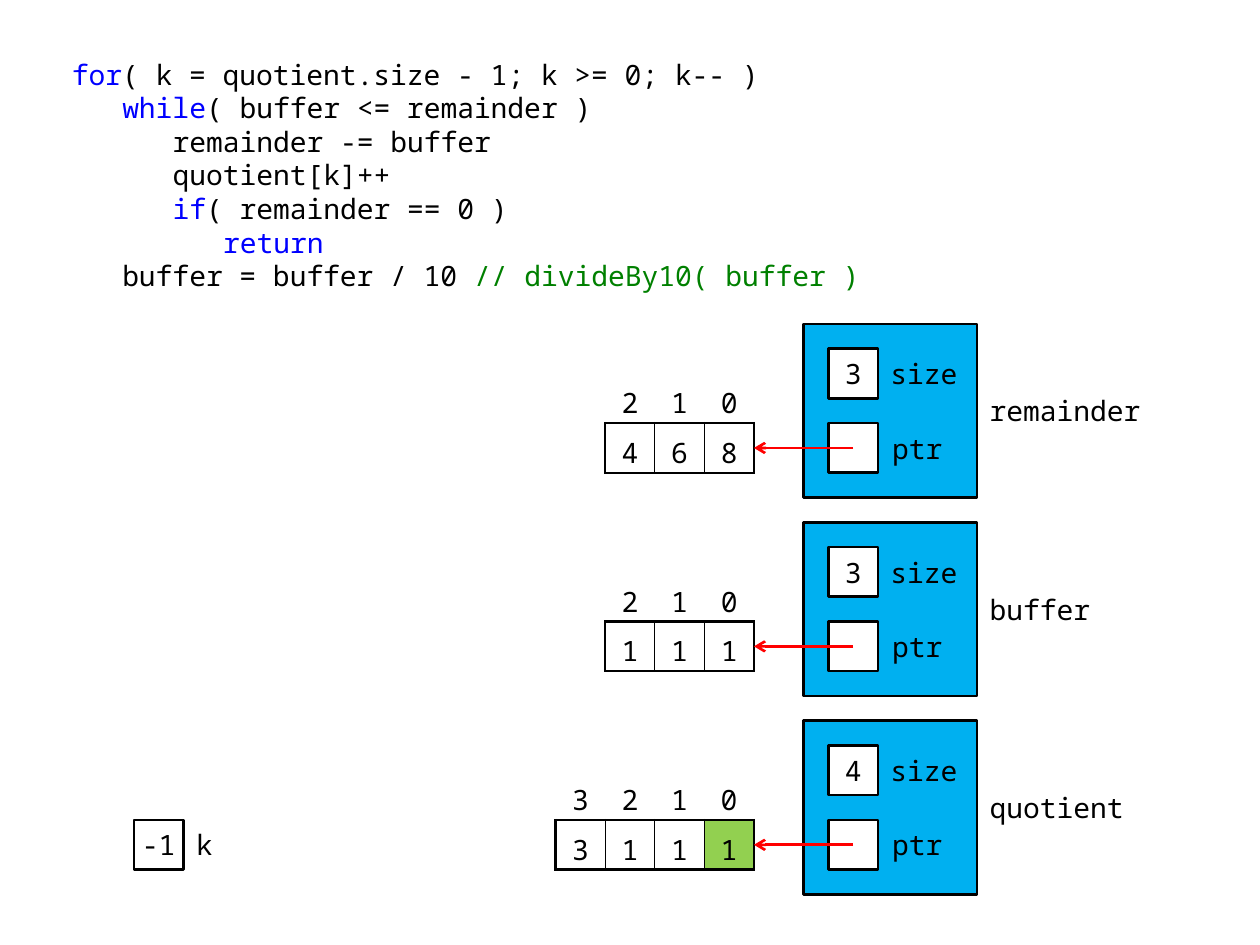
from lxml.etree import SubElement
from pptx import Presentation
from pptx.dml.color import RGBColor
from pptx.enum.shapes import MSO_CONNECTOR, MSO_SHAPE
from pptx.enum.text import MSO_ANCHOR, PP_ALIGN
from pptx.oxml.ns import qn
from pptx.util import Inches, Pt

BLACK = RGBColor(0x00, 0x00, 0x00)
WHITE = RGBColor(0xFF, 0xFF, 0xFF)
BLUE = RGBColor(0x00, 0x00, 0xFF)
GREEN = RGBColor(0x00, 0x80, 0x00)
RED = RGBColor(0xFF, 0x00, 0x00)
SKY = RGBColor(0x00, 0xB0, 0xF0)
LIME = RGBColor(0x92, 0xD0, 0x50)
NO_GRID = "{2D5ABB26-0587-4C30-8999-92F81FD0307C}"
CELL = 1 / 2.54  # grid unit in inches


def grid(*values):
    """Turn grid units into lengths."""
    return [Inches(v * CELL) for v in values]


class MemoryDiagram:
    font, size, line_width = "Noto Sans Mono", Pt(16), Pt(1.5)
    thin = Pt(0.75)

    def __init__(self, slide):
        self.slide = slide

    def style_run(self, r, color=BLACK):
        r.font.name, r.font.size = self.font, self.size
        r.font.color.rgb = color

    def set_text(self, tf, text, align, insets):
        tf.word_wrap = True
        tf.vertical_anchor = MSO_ANCHOR.MIDDLE
        (tf.margin_left, tf.margin_top,
         tf.margin_right, tf.margin_bottom) = [Inches(v) for v in insets]
        p = tf.paragraphs[0]
        p.text, p.alignment = text, align
        for r in p.runs:
            self.style_run(r)

    def box(self, x, y, side=1, fill=WHITE, text=""):
        sp = self.slide.shapes.add_shape(
            MSO_SHAPE.RECTANGLE, *grid(x, y, side, side))
        sp.shadow.inherit = False
        sp.fill.solid()
        sp.fill.fore_color.rgb = fill
        sp.line.color.rgb, sp.line.width = BLACK, self.line_width
        if text:
            self.set_text(sp.text_frame, text, PP_ALIGN.CENTER,
                          (0.04, 0.05, 0.04, 0.05))

    def label(self, x, y, w, h, text, align=PP_ALIGN.LEFT, right=0.04):
        tb = self.slide.shapes.add_textbox(*grid(x, y, w, h))
        self.set_text(tb.text_frame, text, align, (0.1, 0, right, 0))

    def code(self, x, y, w, h, lines):
        """Each line is an indent level followed by (text, color) pairs."""
        tf = self.slide.shapes.add_textbox(*grid(x, y, w, h)).text_frame
        tf.word_wrap = True
        for i, (level, *parts) in enumerate(lines):
            p = tf.add_paragraph() if i else tf.paragraphs[0]
            p.line_spacing = Pt(19.2)
            p._p.get_or_add_pPr().set("marL", str(Inches(0.4 * level)))
            for text, color in parts:
                r = p.add_run()
                r.text = text
                self.style_run(r, color)

    def arrow(self, x1, x2, y):
        ln = self.slide.shapes.add_connector(
            MSO_CONNECTOR.STRAIGHT, *grid(x1, y, x2, y))
        ln.line.color.rgb, ln.line.width = RED, self.line_width
        props = ln._element.spPr
        SubElement(props.find(qn("a:ln")), qn("a:tailEnd"), type="arrow")
        SubElement(props, qn("a:effectLst"))

    def border(self, cell, side, width):
        ln = SubElement(cell._tc.get_or_add_tcPr(), qn(f"a:ln{side}"),
                        w=str(width))
        fill = SubElement(ln, qn("a:solidFill"))
        SubElement(fill, qn("a:srgbClr"), val=str(BLACK))

    def array(self, right, y, digits, marked):
        """Indexes count down to 0 above the digits of the number."""
        n = len(digits)
        table = self.slide.shapes.add_table(
            2, n, *grid(right - n, y, n, 2)).table
        table.first_row = table.horz_banding = False
        table._tbl.tblPr.find(qn("a:tableStyleId")).text = NO_GRID
        for i, digit in enumerate(digits):
            index, value = table.cell(0, i), table.cell(1, i)
            self.border(index, "B", self.line_width)
            self.border(value, "L", self.thin if i else self.line_width)
            self.border(value, "R", self.thin if i < n - 1 else self.line_width)
            for side in "TB":
                self.border(value, side, self.line_width)
            for cell, text in ((index, str(n - 1 - i)), (value, digit)):
                cell.margin_left = cell.margin_right = 0
                cell.margin_top = cell.margin_bottom = 0
                cell.vertical_anchor = MSO_ANCHOR.MIDDLE
                p = cell.text_frame.paragraphs[0]
                p.text, p.alignment = text, PP_ALIGN.CENTER
                p.line_spacing = 1.25
                self.style_run(p.runs[0])
                cell.fill.background()
            if i == marked:
                value.fill.solid()
                value.fill.fore_color.rgb = LIME

    def number(self, x, y, name, name_width, digits, marked=None):
        """A struct with size and ptr, its name and its digit array."""
        self.array(x - 1, y + 1, digits, marked)
        self.box(x, y, 3.5, SKY)
        self.box(x + 0.5, y + 0.5, text=str(len(digits)))
        self.box(x + 0.5, y + 2)
        self.label(x + 3.5, y + 1, name_width, 1.5, name)
        self.label(x + 1.5, y + 0.5, 2, 1, "size")
        self.label(x + 1.5, y + 2, 1.5, 1, "ptr", PP_ALIGN.RIGHT, 0.08)
        self.arrow(x + 1, x - 1, y + 2.5)


def main():
    prs = Presentation()
    prs.slide_width, prs.slide_height = Inches(10), Inches(7.5)
    s = prs.slides.add_slide(prs.slide_layouts[6])
    diagram = MemoryDiagram(s)

    # Algorithm
    diagram.code(1.2, 1.03, 17, 5, [
        (0, ("for", BLUE), ("( k = quotient.size - 1; k >= 0; k-- )", BLACK)),
        (1, ("while", BLUE), ("( buffer <= remainder )", BLACK)),
        (2, ("remainder -= buffer", BLACK)),
        (2, ("quotient[k]++", BLACK)),
        (2, ("if", BLUE), ("( remainder == 0 )", BLACK)),
        (3, ("return", BLUE)),
        (1, ("buffer = buffer / 10", BLACK),
            (" // divideBy10( buffer )", GREEN)),
    ])

    # Numbers, four grid units apart
    numbers = [("remainder", 3.5, "468", None),
               ("buffer", 2.5, "111", None),
               ("quotient", 3.5, "3111", 3)]
    for i, (name, width, digits, marked) in enumerate(numbers):
        diagram.number(16.2, 6.53 + 4 * i, name, width, digits, marked)

    # Loop counter
    diagram.box(2.7, 16.53, text="-1")
    diagram.label(3.7, 16.53, 1, 1, "k")

    prs.save("out.pptx")


if __name__ == "__main__":
    main()
